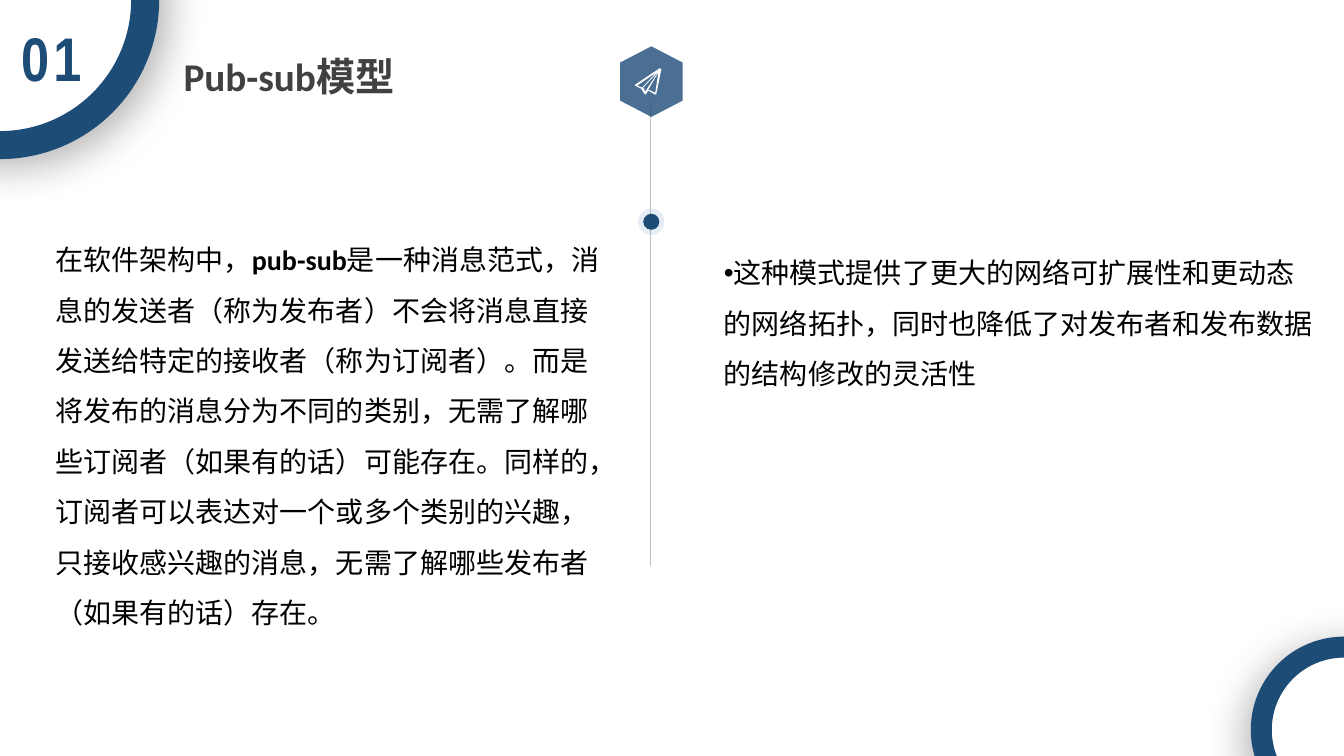
from dataclasses import dataclass

from lxml import etree
from pptx import Presentation
from pptx.dml.color import RGBColor
from pptx.enum.shapes import MSO_CONNECTOR, MSO_SHAPE
from pptx.enum.text import MSO_ANCHOR, MSO_AUTO_SIZE, PP_ALIGN
from pptx.oxml.ns import qn
from pptx.util import Inches, Pt

OVAL, HEXAGON = MSO_SHAPE.OVAL, MSO_SHAPE.HEXAGON
STRAIGHT = MSO_CONNECTOR.STRAIGHT
TOP = MSO_ANCHOR.TOP
GROW = MSO_AUTO_SIZE.SHAPE_TO_FIT_TEXT
LEFT, CENTER = PP_ALIGN.LEFT, PP_ALIGN.CENTER
TWO_CONTENT = 3


@dataclass(frozen=True)
class Theme:
    navy: str = "1D4C77"
    halo: str = "9FB8D6"
    white: str = "FFFFFF"
    black: str = "000000"
    heading: str = "414141"
    rule: str = "BFBFBF"
    font: str = "Calibri"
    number_font: str = "Arial Narrow"
    number_size: int = 44
    title_size: int = 28
    body_size: int = 20


THEME = Theme()
AXIS = 6.45
PLANE = [
    [(650, 92), (643, 89), (653, 72)],
    [(638, 87), (653, 71), (640, 91)],
    [(632, 85), (651, 72), (637, 87)],
    [(655, 68), (654, 68), (630, 84), (630, 85), (636, 88), (639, 93),
     (640, 94), (641, 93), (643, 90), (650, 94), (651, 94), (651, 93),
     (656, 69)],
]


def set_fill(sp, color, alpha=100):
    sp.shadow.inherit = False
    sp.fill.solid()
    sp.fill.fore_color.rgb = RGBColor.from_string(color)
    if alpha < 100:
        clr = sp.fill._xPr.find(qn("a:solidFill"))[0]
        etree.SubElement(clr, qn("a:alpha"), val=str(alpha * 1000))
    sp.line.fill.background()


def add_filled(shapes, kind, cx, cy, w, h, color, alpha=100):
    sp = shapes.add_shape(kind, Inches(cx - w / 2), Inches(cy - h / 2),
                          Inches(w), Inches(h))
    set_fill(sp, color, alpha)
    return sp


def add_ring(shapes, cx, cy, d, width, angle):
    sp = add_filled(shapes, OVAL, cx, cy, d, d, THEME.white)
    sp.line.color.rgb = RGBColor.from_string(THEME.navy)
    sp.line.width = Pt(width)
    effects = sp._element.spPr.find(qn("a:effectLst"))
    shadow = etree.SubElement(
        effects, qn("a:outerShdw"), blurRad=str(Pt(30)), dist=str(Pt(8)),
        dir=str(angle * 60000), algn="ctr", rotWithShape="0")
    clr = etree.SubElement(shadow, qn("a:srgbClr"), val=THEME.black)
    etree.SubElement(clr, qn("a:alpha"), val="30000")


def add_rule(shapes, x, top, bottom):
    line = shapes.add_connector(STRAIGHT, Inches(x), Inches(top),
                                Inches(x), Inches(bottom))
    line.line.color.rgb = RGBColor.from_string(THEME.rule)
    line.line.width = Pt(0.5)
    etree.SubElement(line._element.spPr, qn("a:effectLst"))


def add_plane(shapes):
    first, *rest = PLANE
    builder = shapes.build_freeform(*first[0], scale=Inches(0.01))
    builder.add_line_segments(first[1:])
    for outline in rest:
        builder.move_to(*outline[0])
        builder.add_line_segments(outline[1:])
    set_fill(builder.convert_to_shape(), THEME.white)


def write(sp, box, runs, size, color, font=THEME.font, align=LEFT):
    sp.left, sp.top, sp.width, sp.height = map(Inches, box)
    tf = sp.text_frame
    tf.word_wrap = True
    tf.auto_size = GROW
    tf.vertical_anchor = TOP
    p = tf.paragraphs[0]
    p.alignment = align
    for text, bold in runs:
        r = p.add_run()
        r.text = text
        r.font.name = font
        r.font.size = Pt(size)
        r.font.bold = bold
        r.font.color.rgb = RGBColor.from_string(color)
    return p


def write_body(sp, box, runs, bullet=None):
    p = write(sp, box, runs, THEME.body_size, THEME.black)
    p.line_spacing = 1.5
    p.space_before = Pt(0)
    pPr = p._p.get_or_add_pPr()
    pPr.set("marL", "0")
    pPr.set("indent", "0")
    if bullet:
        etree.SubElement(pPr, qn("a:buChar"), char=bullet)
    else:
        etree.SubElement(pPr, qn("a:buNone"))


def add_number(shapes, box, text):
    sp = shapes.add_textbox(*map(Inches, box))
    p = write(sp, box, [(text, True)], THEME.number_size, THEME.navy,
              THEME.number_font, CENTER)
    p.runs[0].font._element.set("spc", "300")


def main():
    prs = Presentation()
    prs.slide_width, prs.slide_height = Inches(13.33), Inches(7.5)
    s = prs.slides.add_slide(prs.slide_layouts[TWO_CONTENT])
    title, left, right = s.placeholders

    add_ring(s.shapes, 0, 0, 2.88, 20, 45)
    add_ring(s.shapes, 13.33, 7.24, 1.64, 15, 125)
    add_number(s.shapes, (0, 0.15, 1.02, 0.84), "01")

    write(title, (1.72, 0.47, 2.31, 0.57), [("Pub-sub模型", True)],
          THEME.title_size, THEME.heading)
    write_body(left, (0.45, 2.19, 5.73, 4.08), [
        ("在软件架构中，", False),
        ("pub-sub", True),
        ("是一种消息范式，消息的发送者（称为发布者）不会将消息直接发送给特定的"
         "接收者（称为订阅者）。而是将发布的消息分为不同的类别，无需了解哪些"
         "订阅者（如果有的话）可能存在。同样的，订阅者可以表达对一个或多个类别的"
         "兴趣，只接收感兴趣的消息，无需了解哪些发布者（如果有的话）存在。", False),
    ])
    write_body(right, (7.08, 2.32, 6.05, 1.56), [
        ("这种模式提供了更大的网络可扩展性和更动态的网络拓扑，"
         "同时也降低了对发布者和发布数据的结构修改的灵活性", False),
    ], bullet="•")

    add_rule(s.shapes, AXIS, 1, 5.62)
    node = s.shapes.add_group_shape().shapes
    add_filled(node, OVAL, AXIS + 0.01, 2.2, 0.26, 0.26, THEME.halo, 26)
    add_filled(node, OVAL, AXIS + 0.01, 2.2, 0.16, 0.16, THEME.navy)
    badge = s.shapes.add_group_shape().shapes
    hexagon = add_filled(badge, HEXAGON, AXIS + 0.01, 0.81, 0.7, 0.62,
                         THEME.navy, 80)
    hexagon.rotation = 90
    hexagon.adjustments[0] = 0.26
    add_plane(badge)

    prs.save("out.pptx")


main()
